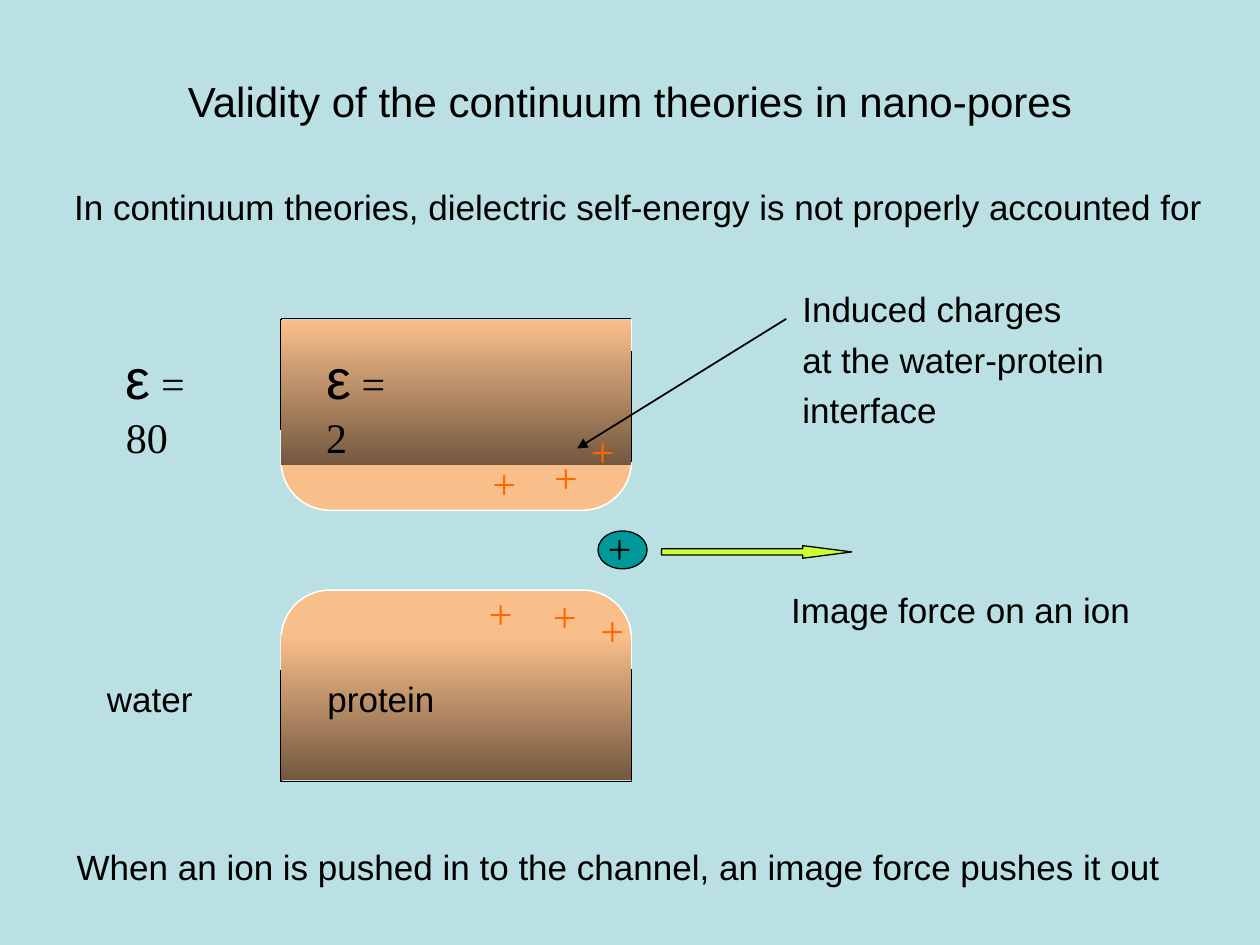
import math

from lxml import etree
from pptx import Presentation
from pptx import util as u
from pptx.dml.color import RGBColor
from pptx.enum import shapes, text
from pptx.oxml.ns import qn

BLACK, WHITE, ORANGE = "000000", "FFFFFF", "FF6600"
SAND, BROWN = "F9BF8B", "735840"
LEFT, RIGHT, RADIUS = 160.6, 360.8, 28


def color(hex_string):
    return RGBColor.from_string(hex_string)


def add_run(paragraph, words, size=20, font="Arial", fill=BLACK):
    run = paragraph.add_run()
    run.text = words
    run.font.size = u.Pt(size)
    run.font.name = font
    run.font.color.rgb = color(fill)


class SlideBuilder:
    """Draws on one slide; group holds the shapes of the pore walls."""

    def __init__(self, slide, background):
        self.slide = slide
        self.group = slide.shapes.add_group_shape()
        slide.background.fill.solid()
        slide.background.fill.fore_color.rgb = color(background)

    def style(self, shape, fill, line=BLACK, width=0.75):
        shape.shadow.inherit = False
        shape.fill.solid()
        shape.fill.fore_color.rgb = color(fill)
        shape.line.color.rgb = color(line)
        shape.line.width = u.Pt(width)

    def title(self, words, left, top, width, height):
        shape = self.slide.shapes.title
        shape.left, shape.top = u.Pt(left), u.Pt(top)
        shape.width, shape.height = u.Pt(width), u.Pt(height)
        frame = shape.text_frame
        frame.auto_size = text.MSO_AUTO_SIZE.NONE
        frame.vertical_anchor = text.MSO_ANCHOR.MIDDLE
        frame.paragraphs[0].alignment = text.PP_ALIGN.CENTER
        add_run(frame.paragraphs[0], words, size=24)

    def text_box(self, paragraphs, left, top, width, height=32, spacing=None):
        """Each paragraph is a list of (words, format) runs."""
        box = self.slide.shapes.add_textbox(u.Pt(left), u.Pt(top), u.Pt(width), u.Pt(height))
        frame = box.text_frame
        frame.word_wrap = True
        for index, runs in enumerate(paragraphs):
            paragraph = frame.add_paragraph() if index else frame.paragraphs[0]
            if spacing:
                paragraph.line_spacing = spacing
            for words, options in runs:
                add_run(paragraph, words, **options)

    def line(self, container, start, end, line=BLACK, width=0.75, arrow=False):
        points = [u.Pt(value) for value in (*start, *end)]
        connector = container.add_connector(shapes.MSO_CONNECTOR.STRAIGHT, *points)
        connector.line.color.rgb = color(line)
        connector.line.width = u.Pt(width)
        properties = connector._element.spPr
        etree.SubElement(properties, qn("a:effectLst"))
        if arrow:
            etree.SubElement(properties.find(qn("a:ln")), qn("a:tailEnd"), type="triangle")

    def lobe(self, start, shoulder, direction):
        """Wall end with two rounded corners; direction is 1 down, -1 up."""
        angles = [math.radians(step * 3) for step in range(31)]
        corner = [(RADIUS * (1 - math.cos(a)), shoulder + direction * RADIUS * math.sin(a))
                  for a in angles]
        outline = [(LEFT, start)]
        outline += [(LEFT + x, y) for x, y in corner]
        outline += [(RIGHT - x, y) for x, y in reversed(corner)]
        points = [(u.Pt(x), u.Pt(y)) for x, y in outline]
        builder = self.group.shapes.build_freeform(*points[0], scale=1.0)
        builder.add_line_segments(points[1:], close=False)
        self.style(builder.convert_to_shape(), SAND, WHITE, 0.88)

    def gradient_block(self, top, height=82.8):
        block = self.group.shapes.add_shape(
            shapes.MSO_SHAPE.RECTANGLE, u.Pt(LEFT), u.Pt(top), u.Pt(RIGHT - LEFT), u.Pt(height))
        block.shadow.inherit = False
        block.line.fill.background()
        block.fill.gradient()
        block.fill.gradient_angle = 270
        for stop, shade in zip(block.fill.gradient_stops, (SAND, BROWN)):
            stop.color.rgb = color(shade)

    def preset(self, kind, fill, left, top, width, height):
        shape = self.slide.shapes.add_shape(
            kind, u.Pt(left), u.Pt(top), u.Pt(width), u.Pt(height))
        self.style(shape, fill)
        return shape

    def ion(self, left, top, width, height):
        shape = self.preset(shapes.MSO_SHAPE.OVAL, "009999", left, top, width, height)
        shape.rotation = 90
        frame = shape.text_frame
        frame.word_wrap = False
        frame.vertical_anchor = text.MSO_ANCHOR.MIDDLE
        frame.paragraphs[0].alignment = text.PP_ALIGN.CENTER
        add_run(frame.paragraphs[0], "+", size=24, font="Times New Roman")


def draw_walls(builder):
    container = builder.group.shapes
    bottom, top = 446.6, 182.2
    builder.line(container, (RIGHT, 365), (RIGHT, 383), WHITE, 0.88)
    builder.line(container, (RIGHT, 382.5), (RIGHT, bottom))
    builder.lobe(383, 365.2, -1)
    builder.line(container, (LEFT, 383), (LEFT, bottom))
    builder.line(container, (RIGHT, bottom), (LEFT, bottom))
    builder.gradient_block(363)

    builder.line(container, (LEFT, 246), (LEFT, top))
    builder.line(container, (RIGHT, top), (LEFT, top))
    builder.lobe(245.6, 263.6, 1)
    builder.gradient_block(182.9)
    builder.line(container, (RIGHT, 182.9), (RIGHT, 201), WHITE, 0.88)
    builder.line(container, (RIGHT, 200.3), (RIGHT, 264))


def main():
    presentation = Presentation()
    presentation.slide_width, presentation.slide_height = u.Pt(720), u.Pt(540)
    slide = presentation.slides.add_slide(presentation.slide_layouts[5])
    builder = SlideBuilder(slide, "BBE0E3")

    draw_walls(builder)
    builder.title("Validity of the continuum theories in nano-pores", 54, 26, 612, 63)
    builder.ion(344.9, 300.2, 21.6, 28.1)

    induced_charges = [(274.3, 257.8), (272.2, 331.9), (330.5, 239.8),
                       (336.2, 342), (309.6, 254.2), (308.9, 334.1)]
    serif = {"size": 24, "font": "Times New Roman"}
    for left, top in induced_charges:
        builder.text_box([[("+", {**serif, "fill": ORANGE})]], left, top, 28.1, 36)
    for value, left, width in (("2", 179.3, 62), ("80", 64.8, 72)):
        runs = [("ε", {"size": 32}), (f" = {value}", serif)]
        builder.text_box([runs], left, 193, width, 46)

    builder.line(slide.shapes, (449.3, 182.2), (329.8, 256.3), width=1, arrow=True)
    arrow = builder.preset(shapes.MSO_SHAPE.RIGHT_ARROW, "CCFF33", 378, 311.8, 108.7, 7.2)
    arrow.adjustments[1] = 3.89

    builder.text_box([[("Induced charges", {})], [("at the water-protein interface", {})]],
                     451.4, 156.2, 203, 93.6, spacing=1.2)
    labels = [
        ("Image force on an ion", 445, 332.6, 215),
        ("In continuum theories, dielectric self-energy is not properly accounted for",
         35.3, 102.2, 670),
        ("When an ion is pushed in to the channel, an image force pushes it out",
         36.7, 479.5, 663),
        ("water", 54, 383.8, 66),
        ("protein", 180, 383.8, 84),
    ]
    for words, left, top, width in labels:
        builder.text_box([[(words, {})]], left, top, width)

    presentation.save("out.pptx")


if __name__ == "__main__":
    main()
